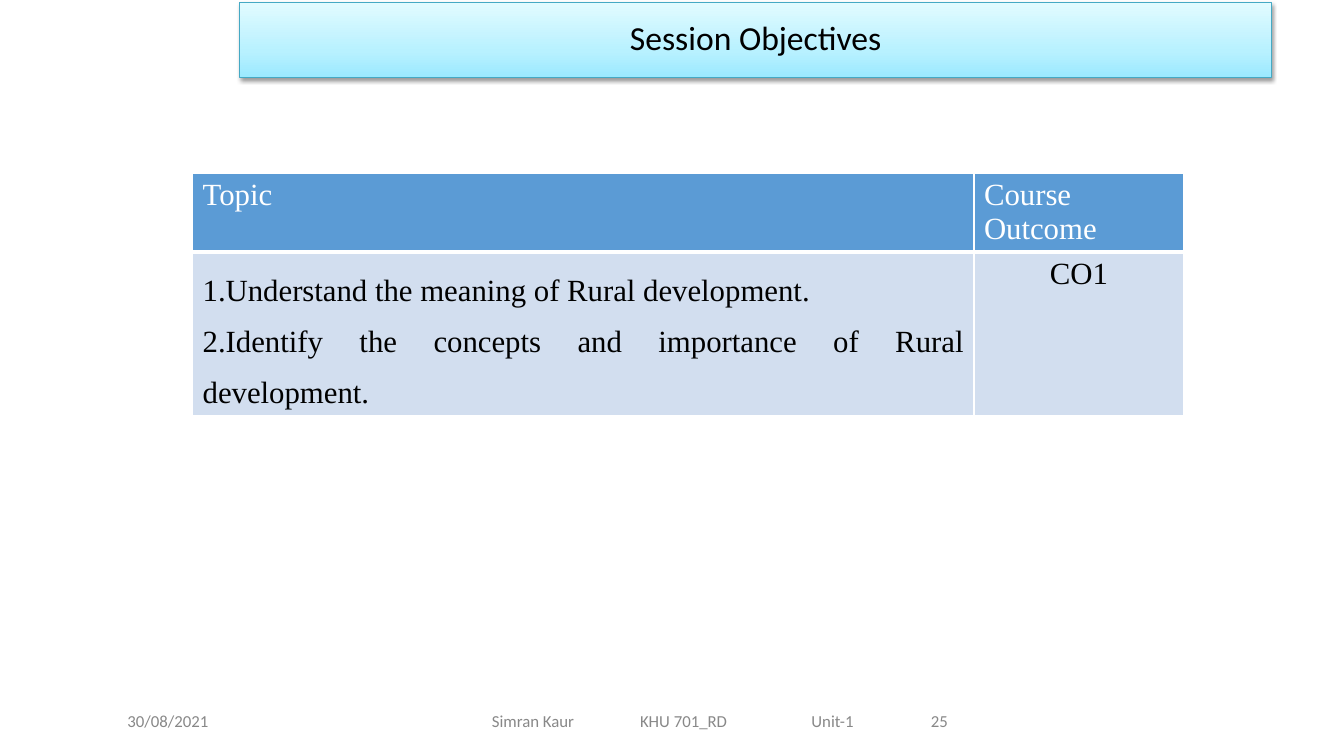
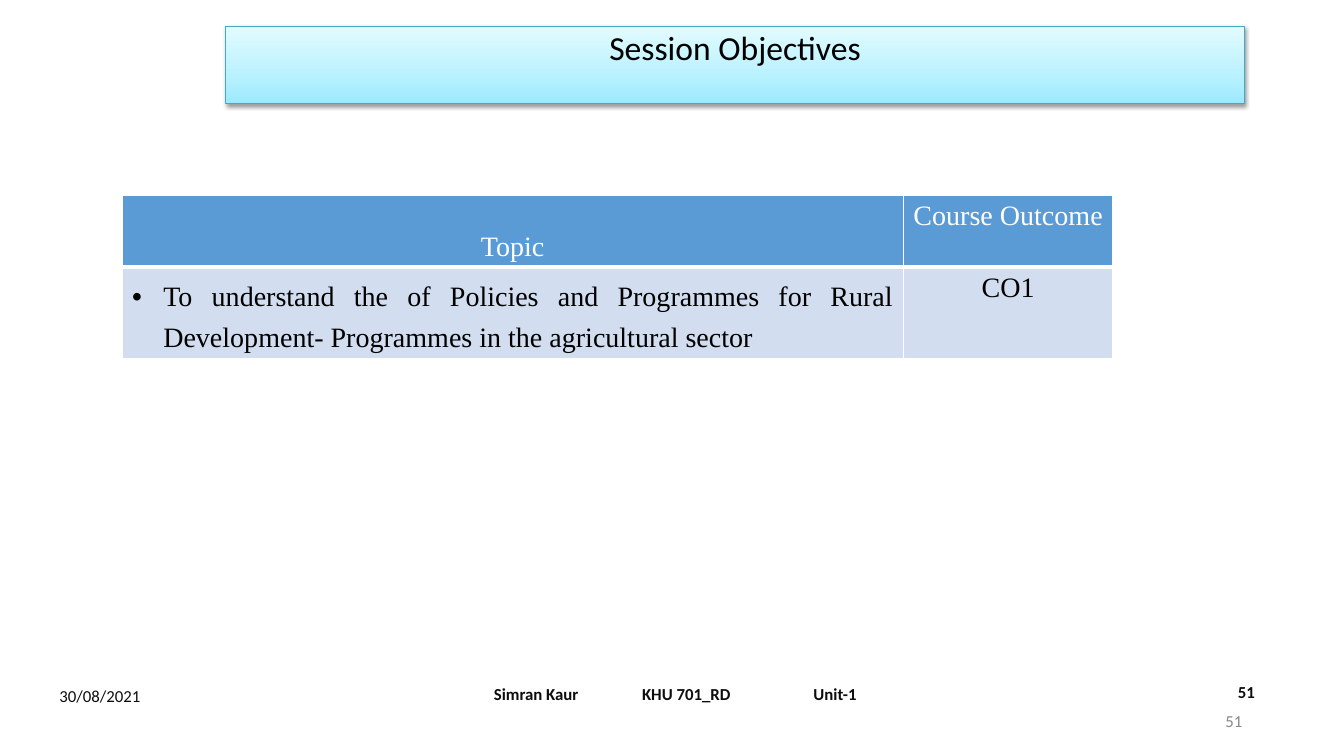
from lxml import etree
from pptx import Presentation
from pptx import util as u
from pptx.dml.color import RGBColor
from pptx.enum import text
from pptx.oxml import parse_xml
from pptx.oxml.ns import nsdecls, qn

COLOURS = {
    "black": "000000", "white": "FFFFFF", "ink": "0D0D0D", "grey": "888888",
    "header": "5B9BD5", "body": "D2DEEF", "banner_line": "45A9C4",
}
BANNER_STOPS = [(0, "9BE9FF"), (35, "B8F1FF"), (100, "E2FBFF")]
HEADING_FONT, TABLE_FONT = "Calibri", "Times New Roman"
COLUMN_WIDTHS = (7.75, 2.08)
FOOTER_PARTS = ("Simran Kaur", "KHU 701_RD", "Unit-1")
FOOTER_TABS = (1.47, 3.17)
DATE = "30/08/2021"
ALIGN = text.PP_ALIGN
ANCHOR = text.MSO_ANCHOR


def rgb(name):
    return RGBColor.from_string(COLOURS[name])


def write(frame, lines, size=12, font=HEADING_FONT, colour="black", bold=False,
          align=ALIGN.LEFT, spacing=None, bullet=None, indent=0, tabs=()):
    """Fill a text frame, one paragraph per line."""
    for index, line in enumerate(lines):
        paragraph = frame.paragraphs[0] if index == 0 else frame.add_paragraph()
        paragraph.alignment = align
        if spacing:
            paragraph.line_spacing = spacing
        properties = paragraph._p.get_or_add_pPr()
        if bullet:
            properties.set("marL", str(u.Inches(indent)))
            properties.set("indent", str(-u.Inches(indent)))
            if bullet == "number":
                etree.SubElement(properties, qn("a:buAutoNum"), type="arabicPeriod")
            else:
                etree.SubElement(properties, qn("a:buFont"), typeface="Arial")
                etree.SubElement(properties, qn("a:buChar"), char=bullet)
        if tabs:
            tab_list = etree.SubElement(properties, qn("a:tabLst"))
            for tab in tabs:
                etree.SubElement(tab_list, qn("a:tab"), pos=str(u.Inches(tab)), algn="l")
        run = paragraph.add_run()
        run.text = line
        run.font.size = u.Pt(size)
        run.font.name = font
        run.font.bold = bold
        run.font.color.rgb = rgb(colour)


def set_borders(cell, bottom):
    """Draw white cell edges, with the bottom one in its own width."""
    properties = cell._tc.get_or_add_tcPr()
    for edge, width in (("L", 1), ("R", 1), ("T", 1), ("B", bottom)):
        properties.append(parse_xml(
            f'<a:ln{edge} {nsdecls("a")} w="{u.Pt(width)}"><a:solidFill>'
            f'<a:srgbClr val="{COLOURS["white"]}"/></a:solidFill></a:ln{edge}>'))


class Deck:
    def __init__(self):
        self.presentation = Presentation()
        self.presentation.slide_width = u.Inches(13.33)
        self.presentation.slide_height = u.Inches(7.5)
        self.slide = None

    def new_slide(self):
        title_only = self.presentation.slide_layouts[5]
        self.slide = self.presentation.slides.add_slide(title_only)

    def banner(self, title, left, top, width, height, anchor):
        shape = self.slide.shapes.title
        shape.left, shape.top = u.Inches(left), u.Inches(top)
        shape.width, shape.height = u.Inches(width), u.Inches(height)
        stops = "".join(f'<a:gs pos="{place * 1000}"><a:srgbClr val="{colour}"/></a:gs>'
                        for place, colour in BANNER_STOPS)
        properties = shape._element.spPr
        properties.append(parse_xml(
            f'<a:gradFill {nsdecls("a")} rotWithShape="1"><a:gsLst>{stops}</a:gsLst>'
            '<a:lin ang="16200000" scaled="0"/></a:gradFill>'))
        shape.line.color.rgb = rgb("banner_line")
        shape.line.width = u.Pt(0.75)
        properties.append(parse_xml(
            f'<a:effectLst {nsdecls("a")}><a:outerShdw blurRad="{u.Pt(3.1)}" '
            f'dist="{u.Pt(1.6)}" dir="5400000" rotWithShape="0">'
            f'<a:srgbClr val="{COLOURS["black"]}"><a:alpha val="38000"/></a:srgbClr>'
            '</a:outerShdw></a:effectLst>'))
        frame = shape.text_frame
        frame.auto_size = text.MSO_AUTO_SIZE.NONE
        frame.vertical_anchor = anchor
        write(frame, [title], size=24, align=ALIGN.CENTER, spacing=0.9)

    def label(self, line, left, top, width, height=0.4, anchor=ANCHOR.MIDDLE, **style):
        box = self.slide.shapes.add_textbox(
            u.Inches(left), u.Inches(top), u.Inches(width), u.Inches(height))
        box.text_frame.word_wrap = True
        box.text_frame.vertical_anchor = anchor
        write(box.text_frame, [line], **style)

    def footer(self, left, top, **style):
        self.label("\t".join(FOOTER_PARTS), left, top, 4.5, tabs=FOOTER_TABS, **style)

    def outcome_table(self, left, top, heights, objectives, size,
                      topic_align=ALIGN.LEFT, topic_anchor=ANCHOR.TOP, **objective_style):
        table = self.slide.shapes.add_table(
            2, 2, u.Inches(left), u.Inches(top),
            u.Inches(sum(COLUMN_WIDTHS)), u.Inches(sum(heights))).table
        for column, width in zip(table.columns, COLUMN_WIDTHS):
            column.width = u.Inches(width)
        contents = (
            ((["Topic"], {"align": topic_align}), (["Course Outcome"], {})),
            ((objectives, {"align": ALIGN.JUSTIFY, **objective_style}),
             (["CO1"], {"align": ALIGN.CENTER})),
        )
        looks = (("header", "white", 3), ("body", "black", 1))
        for row, height, cells, look in zip(table.rows, heights, contents, looks):
            row.height = u.Inches(height)
            fill, colour, bottom = look
            for cell, (lines, style) in zip(row.cells, cells):
                set_borders(cell, bottom)
                cell.fill.solid()
                cell.fill.fore_color.rgb = rgb(fill)
                write(cell.text_frame, lines, size=size, font=TABLE_FONT,
                      colour=colour, **style)
        table.cell(0, 0).vertical_anchor = topic_anchor


def main():
    deck = Deck()

    deck.new_slide()
    deck.banner("Session Objectives", 2.38, 0.02, 10.23, 0.75, ANCHOR.MIDDLE)
    deck.outcome_table(
        1.91, 1.72, (0.77, 1.62),
        ["Understand the meaning of Rural development.",
         "Identify the concepts and importance of Rural development."],
        size=22, spacing=1.5, bullet="number")
    deck.label(DATE, 0.5, 6.95, 2.33, colour="grey", align=ALIGN.CENTER)
    deck.footer(4.78, 6.95, colour="grey")
    deck.label("25", 7.17, 6.95, 2.33, colour="grey", align=ALIGN.RIGHT)

    deck.new_slide()
    deck.banner("Session Objectives", 2.24, 0.26, 10.1, 0.77, ANCHOR.TOP)
    deck.outcome_table(
        1.21, 1.94, (0.71, 0.9),
        ["To understand the of Policies and Programmes for Rural Development- "
         "Programmes in the agricultural sector"],
        size=20, topic_align=ALIGN.CENTER, topic_anchor=ANCHOR.BOTTOM,
        spacing=1.31, bullet="•", indent=0.31)
    deck.label(DATE, 0.49, 6.66, 2.37, 0.49, colour="ink")
    deck.footer(4.8, 6.68, colour="ink", bold=True)
    deck.label("51", 12.18, 6.71, 1, anchor=ANCHOR.TOP, colour="ink", bold=True)
    deck.label("51", 9.42, 6.95, 3, colour="grey", align=ALIGN.RIGHT)

    deck.presentation.save("out.pptx")


if __name__ == "__main__":
    main()
